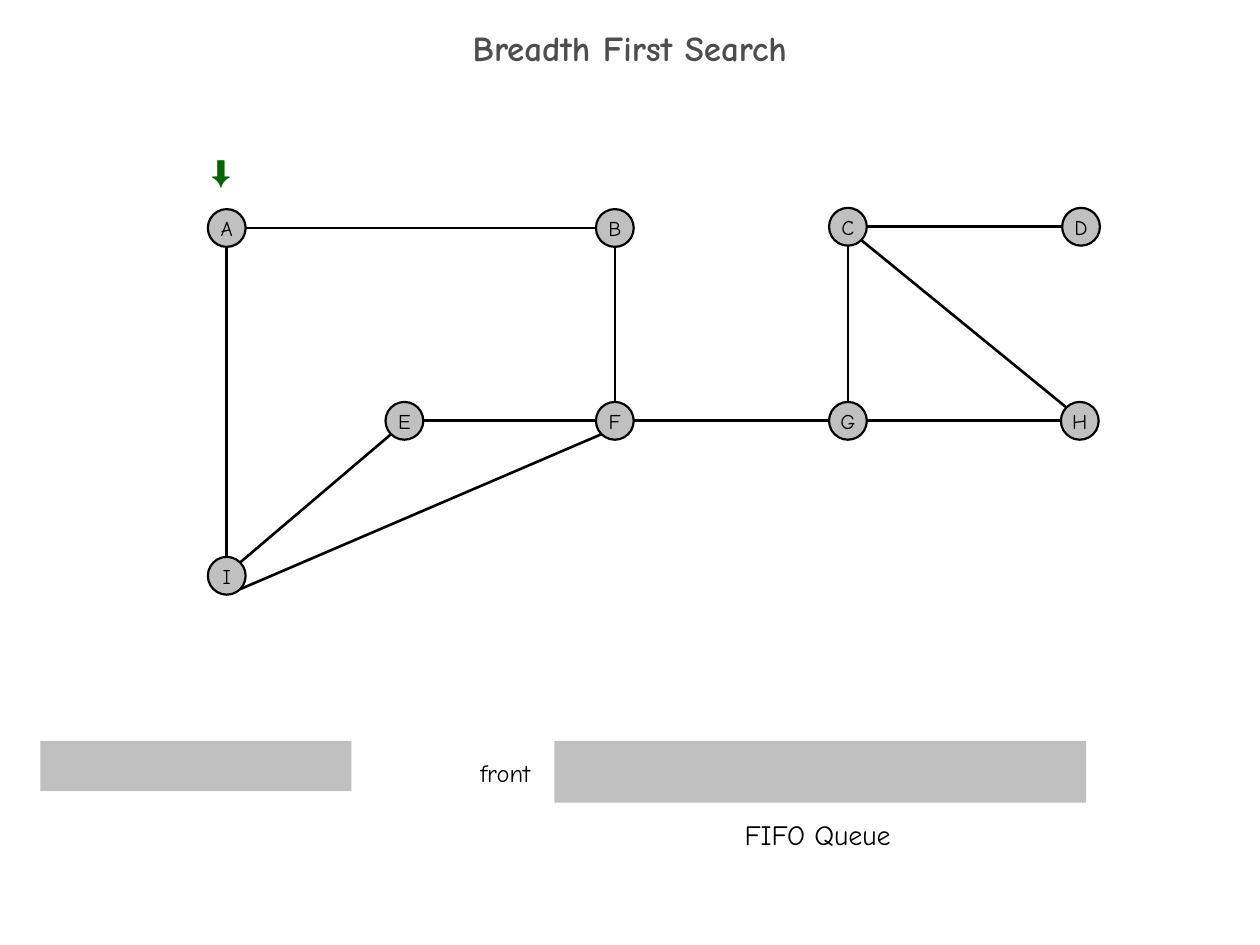
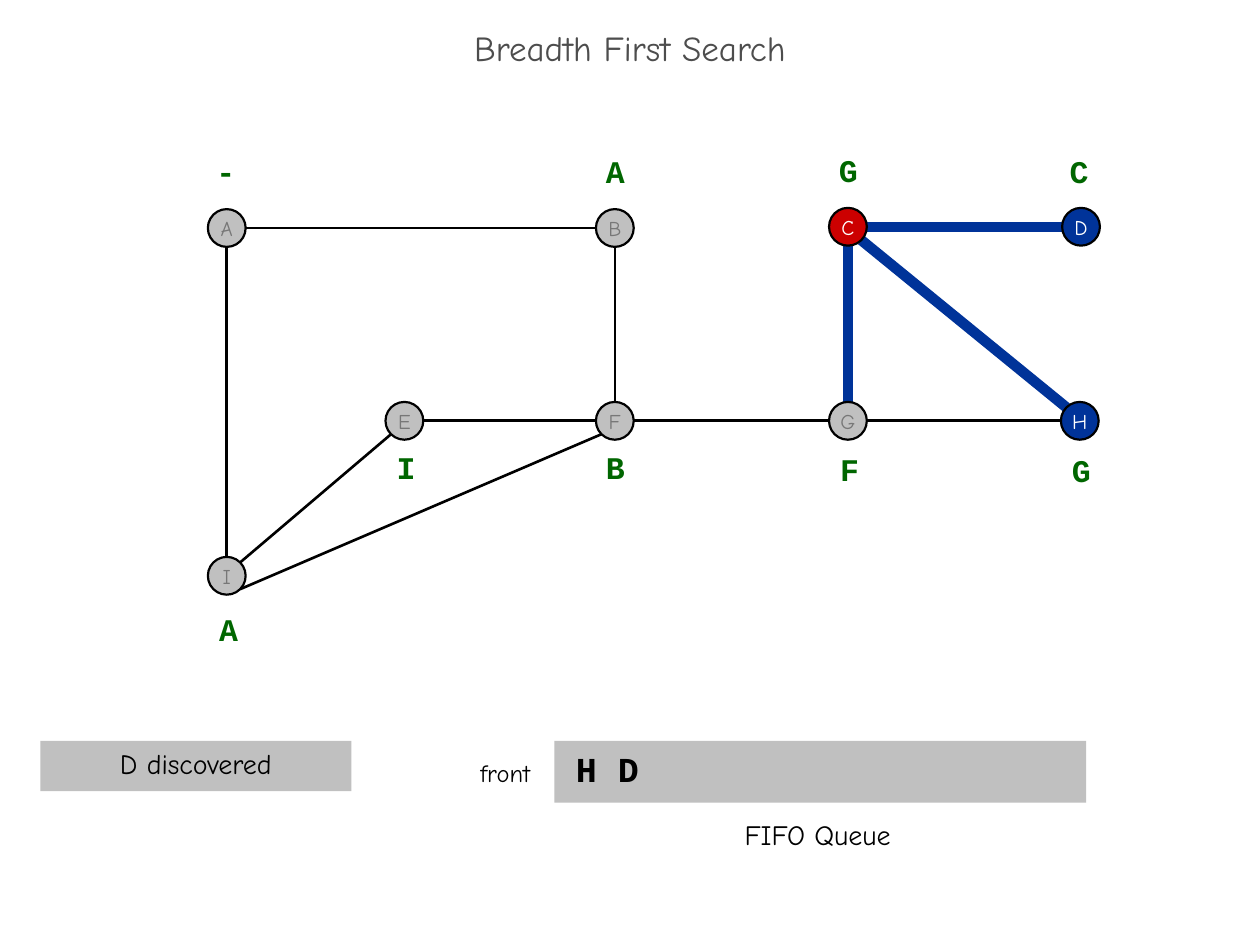
from math import hypot

from lxml import etree
from pptx import Presentation
from pptx.dml.color import RGBColor
from pptx.enum.shapes import MSO_CONNECTOR, MSO_SHAPE
from pptx.enum.text import MSO_ANCHOR, PP_ALIGN
from pptx.oxml.ns import qn
from pptx.util import Inches, Pt

STRAIGHT = MSO_CONNECTOR.STRAIGHT
OVAL, RECTANGLE = MSO_SHAPE.OVAL, MSO_SHAPE.RECTANGLE
TOP, MIDDLE = MSO_ANCHOR.TOP, MSO_ANCHOR.MIDDLE
LEFT, CENTER = PP_ALIGN.LEFT, PP_ALIGN.CENTER

HAND, MONO = "Comic Neue", "Courier New"
BLACK, WHITE, DARK_GRAY, MID_GRAY = "000000", "FFFFFF", "4D4D4D", "777777"
GRAY, GREEN, BLUE, RED = "C0C0C0", "006600", "003399", "CC0000"

RADIUS = 0.15
NODES = {  # centre of each vertex
    "A": (1.8, 1.81), "B": (4.88, 1.81), "C": (6.73, 1.8), "D": (8.58, 1.8),
    "E": (3.21, 3.34), "F": (4.88, 3.34), "G": (6.73, 3.34), "H": (8.57, 3.34),
    "I": (1.8, 4.57),
}
DIRECTIONS = {
    "north": (0, -1), "south": (0, 1), "east": (1, 0), "west": (-1, 0),
    "northeast": (1, -1), "northwest": (-1, -1),
    "southeast": (1, 1), "southwest": (-1, 1),
}
EDGES = {  # sides of the two vertices at which each edge ends
    "AI": ("south", "north"), "FB": ("north", "south"),
    "EF": ("east", "west"), "IE": ("northeast", "southwest"),
    "AB": ("east", "west"), "IF": ("southeast", "southwest"),
    "FG": ("east", "west"), "GH": ("east", "west"),
    "CG": ("south", "north"), "CH": ("southeast", "northwest"),
    "CD": ("east", "west"),
}
PARENTS = {  # predecessor of each vertex, and where its label stands
    "A": ("-", 1.62, 1.16), "B": ("A", 4.71, 1.16),
    "C": ("G", 6.56, 1.15), "D": ("C", 8.39, 1.16),
    "E": ("I", 3.05, 3.51), "F": ("B", 4.71, 3.51),
    "G": ("F", 6.57, 3.52), "H": ("G", 8.41, 3.53),
    "I": ("A", 1.64, 4.79),
}


def rgb(color):
    return RGBColor.from_string(color)


def node_side(node, side):
    """Return the point on the circle of a node that faces a direction."""
    x, y = NODES[node]
    across, down = DIRECTIONS[side]
    scale = RADIUS / hypot(across, down)
    return x + across * scale, y + down * scale


class SearchDeck:
    def __init__(self):
        self.presentation = Presentation()
        self.presentation.slide_width = Inches(10)
        self.presentation.slide_height = Inches(7.5)
        self.slide = None

    def set_text(self, shape, text, size, font=HAND, color=BLACK, bold=False,
                 align=CENTER, anchor=TOP, wrap=True, side_margin=0.1):
        frame = shape.text_frame
        frame_format = {
            "word_wrap": wrap, "vertical_anchor": anchor,
            "margin_left": Inches(side_margin), "margin_right": Inches(side_margin),
            "margin_top": Inches(0.05), "margin_bottom": Inches(0.05),
        }
        for name, value in frame_format.items():
            setattr(frame, name, value)
        paragraph = frame.paragraphs[0]
        paragraph.text = text
        paragraph.alignment = align
        for name, value in {"name": font, "size": Pt(size), "bold": bold}.items():
            setattr(paragraph.font, name, value)
        paragraph.font.color.rgb = rgb(color)
        return paragraph

    def add_slide(self, title, bold):
        layout = self.presentation.slide_layouts[5]
        self.slide = self.presentation.slides.add_slide(layout)
        shape = self.slide.shapes.title
        shape.left, shape.top = Inches(0), Inches(0.17)
        shape.width, shape.height = Inches(10), Inches(0.5)
        paragraph = self.set_text(shape, title, 20, color=DARK_GRAY, bold=bold,
                                  anchor=MIDDLE)
        paragraph.line_spacing = 0.7

    def shape(self, kind, left, top, width, height, fill):
        shape = self.slide.shapes.add_shape(
            kind, Inches(left), Inches(top), Inches(width), Inches(height))
        shape.shadow.inherit = False
        shape.fill.solid()
        shape.fill.fore_color.rgb = rgb(fill)
        shape.line.fill.background()
        return shape

    def node(self, name, fill, color):
        x, y = NODES[name]
        circle = self.shape(OVAL, x - RADIUS, y - RADIUS, 2 * RADIUS, 2 * RADIUS, fill)
        circle.line.color.rgb = rgb(BLACK)
        circle.line.width = Pt(1.25)
        self.set_text(circle, name, 12, color=color, anchor=MIDDLE, wrap=False)

    def edge(self, name, color, width):
        ends = [node_side(*end) for end in zip(name, EDGES[name])]
        line = self.slide.shapes.add_connector(
            STRAIGHT, *[Inches(length) for point in ends for length in point])
        line.line.color.rgb = rgb(color)
        line.line.width = Pt(width)
        etree.SubElement(line._element.spPr, qn("a:effectLst"))

    def label(self, text, left, top, width, height, size, **style):
        box = self.slide.shapes.add_textbox(
            Inches(left), Inches(top), Inches(width), Inches(height))
        self.set_text(box, text, size, **style)

    def marker(self, text, left, top):
        self.label(text, left, top, 0.37, 0.4, 18,
                   font=MONO, color=GREEN, bold=True, align=LEFT)

    def graph(self, node_styles, default_style, tree_edges=()):
        """Draw all edges, then all vertices; styles are (fill, text colour)."""
        for name in EDGES:
            self.edge(name, *((BLUE, 6) if name in tree_edges else (BLACK, 1.5)))
        for name in NODES:
            self.node(name, *node_styles.get(name, default_style))

    def status_and_queue(self, status="", queue=""):
        status_bar = self.shape(RECTANGLE, 0.32, 5.88, 2.47, 0.4, GRAY)
        queue_bar = self.shape(RECTANGLE, 4.4, 5.88, 4.22, 0.49, GRAY)
        if status:
            self.set_text(status_bar, status, 16, side_margin=0)
        if queue:
            self.set_text(queue_bar, queue, 20, font=MONO, bold=True,
                          align=LEFT, side_margin=0.17)
        self.label("front", 3.6, 5.97, 0.82, 0.33, 14)
        self.label("FIFO Queue", 4.4, 6.44, 4.18, 0.37, 16)


def main():
    deck = SearchDeck()

    deck.add_slide("Breadth First Search", bold=True)
    deck.graph({}, (GRAY, BLACK))
    deck.marker("⬇", 1.58, 1.16)
    deck.status_and_queue()

    deck.add_slide("Breadth First Search", bold=False)
    queued = (BLUE, WHITE)
    deck.graph({"C": (RED, WHITE), "D": queued, "H": queued},
               (GRAY, MID_GRAY), tree_edges=("CG", "CH", "CD"))
    for parent in PARENTS.values():
        deck.marker(*parent)
    deck.status_and_queue("D discovered", "H D")

    deck.presentation.save("out.pptx")


if __name__ == "__main__":
    main()
